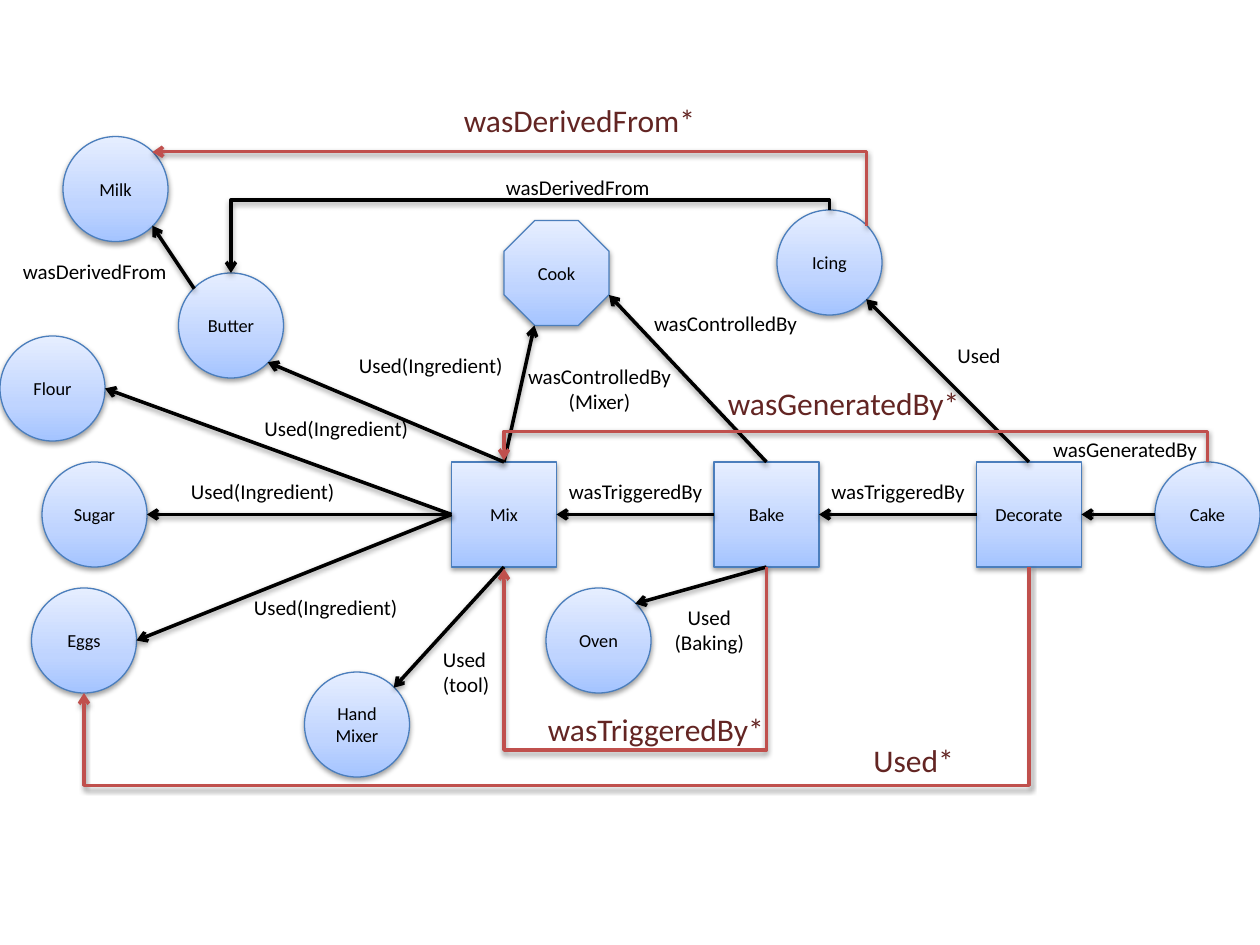
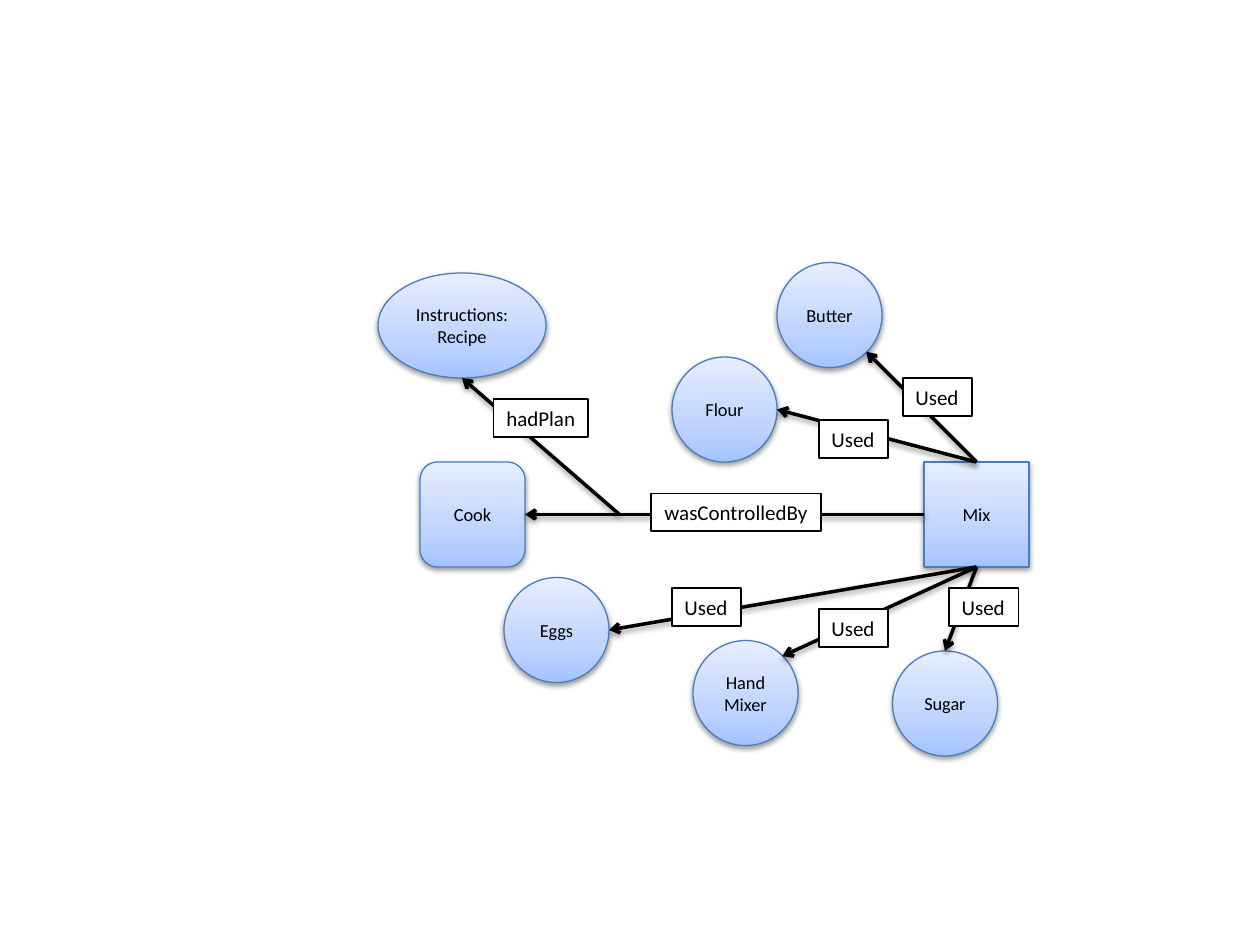
from copy import deepcopy
from lxml import etree
from pptx import Presentation
from pptx.dml.color import RGBColor
from pptx.enum.shapes import MSO_CONNECTOR as LINK, MSO_SHAPE as FORM
from pptx.enum.text import MSO_ANCHOR, MSO_AUTO_SIZE, PP_ALIGN
from pptx.oxml.ns import qn
from pptx.util import Inches, Pt

# Shared style
FONT = "Calibri"
BLACK = RGBColor(0, 0, 0)
WHITE = RGBColor(255, 255, 255)
RED = RGBColor(0xC0, 0x50, 0x4D)
DARK_RED = RGBColor(0x63, 0x25, 0x23)
NODE_LINE = RGBColor(0x4B, 0x7E, 0xBC)
NODE_STOPS = [(0, RGBColor(0xA4, 0xC4, 0xFF)), (0.35, RGBColor(0xBF, 0xD4, 0xFF)),
              (1, RGBColor(0xE6, 0xEE, 0xFF))]
NODE_SIZE = 10  # grid units

# Places where an arrow may touch a node, as fractions of its box
SITES = {
    "top": (0.5, 0), "bottom": (0.5, 1), "left": (0, 0.5), "right": (1, 0.5),
    "top left": (0.15, 0.15), "top right": (0.85, 0.15),
    "bottom left": (0.15, 0.85), "bottom right": (0.85, 0.85),
    "lower right corner": (1, 0.71), "lower left corner": (0.29, 1),
}

# Label widths in inches
LABEL_WIDTHS = {
    "wasTriggeredBy": 1.27, "wasControlledBy": 1.35, "wasControlledBy\n(Mixer)": 1.35,
    "Used(Ingredient)": 1.35, "Used\n(Baking)": 0.76, "wasGeneratedBy": 1.36,
    "wasDerivedFrom": 1.35, "Used": 0.55, "Used\n(tool)": 0.58, "hadPlan": 0.75,
    "wasDerivedFrom*": 2.06, "wasTriggeredBy*": 1.93, "Used*": 0.85, "wasGeneratedBy*": 2.06,
}
CENTERED = {"wasControlledBy", "wasControlledBy\n(Mixer)", "Used\n(Baking)",
            "wasGeneratedBy", "wasGeneratedBy*", "hadPlan"}

# Content: all positions are in grid units of a twelfth of an inch
# nodes: name -> left, top, form, (width)
# arrows: from, site, to, site
# bends: from, site, to, site, height of the crossing lane, colour, end offset
# labels: left, top, text
CAKE_HISTORY = {
    "nodes": {
        "Cake": (110, 44, FORM.OVAL), "Bake": (68, 44, FORM.RECTANGLE),
        "Cook": (48, 21, FORM.OCTAGON), "Mix": (43, 44, FORM.RECTANGLE),
        "Milk": (6, 13, FORM.OVAL), "Eggs": (3, 56, FORM.OVAL),
        "Flour": (0, 32, FORM.OVAL), "Butter": (17, 26, FORM.OVAL),
        "Oven": (52, 56, FORM.OVAL), "Sugar": (4, 44, FORM.OVAL),
        "Icing": (74, 20, FORM.OVAL), "Decorate": (93, 44, FORM.RECTANGLE),
        "Hand Mixer": (29, 64, FORM.OVAL),
    },
    "arrows": [
        ("Cake", "left", "Decorate", "right"), ("Bake", "left", "Mix", "right"),
        ("Bake", "top", "Cook", "lower right corner"),
        ("Mix", "top", "Cook", "lower left corner"),
        ("Bake", "bottom", "Oven", "top right"), ("Mix", "left", "Eggs", "right"),
        ("Mix", "left", "Sugar", "right"), ("Mix", "top", "Butter", "bottom right"),
        ("Mix", "left", "Flour", "right"), ("Butter", "top left", "Milk", "bottom right"),
        ("Decorate", "left", "Bake", "right"), ("Decorate", "top", "Icing", "bottom right"),
        ("Mix", "bottom", "Hand Mixer", "top right"),
    ],
    "bends": [
        ("Icing", "top", "Butter", "top", 19.04, BLACK, 0),
        ("Icing", "top right", "Milk", "top right", 14.45, RED, 0),
        ("Bake", "bottom", "Mix", "bottom", 71.3, RED, 0.15),
        ("Decorate", "bottom", "Eggs", "bottom", 74.8, RED, 0),
        ("Cake", "top", "Mix", "top", 41.1, RED, -0.15),
    ],
    "labels": [
        (53, 45, "wasTriggeredBy"), (78, 45, "wasTriggeredBy"),
        (61, 29, "wasControlledBy"), (49, 34, "wasControlledBy\n(Mixer)"),
        (33, 33, "Used(Ingredient)"), (24, 39, "Used(Ingredient)"),
        (17, 45, "Used(Ingredient)"), (23, 56, "Used(Ingredient)"),
        (63, 57, "Used\n(Baking)"), (41, 61, "Used\n(tool)"), (90, 32, "Used"),
        (99, 41, "wasGeneratedBy"), (1, 24, "wasDerivedFrom"), (47, 16, "wasDerivedFrom"),
        (43, 9, "wasDerivedFrom*"), (51, 67, "wasTriggeredBy*"),
        (82, 70, "Used*"), (68, 36, "wasGeneratedBy*"),
    ],
    "boxed": False,
}
MIX_PLAN = {
    "nodes": {
        "Cook": (40, 44, FORM.ROUNDED_RECTANGLE), "Mix": (88, 44, FORM.RECTANGLE),
        "Eggs": (48, 55, FORM.OVAL), "Flour": (64, 34, FORM.OVAL),
        "Butter": (74, 25, FORM.OVAL), "Sugar": (85, 62, FORM.OVAL),
        "Hand Mixer": (66, 61, FORM.OVAL), "Instructions: Recipe": (36, 26, FORM.OVAL, 16),
    },
    "arrows": [
        ("Mix", "left", "Cook", "right"), ("Mix", "bottom", "Eggs", "right"),
        ("Mix", "bottom", "Sugar", "top"), ("Mix", "top", "Butter", "bottom right"),
        ("Mix", "top", "Flour", "right"), ("Mix", "bottom", "Hand Mixer", "top right"),
        ((59, 49), None, "Instructions: Recipe", "bottom"),
    ],
    "bends": [],
    "labels": [
        (62, 47, "wasControlledBy"), (86, 36, "Used"), (64, 56, "Used"), (78, 40, "Used"),
        (90.4, 56, "Used"), (78, 58, "Used"), (47, 38, "hadPlan"),
    ],
    "boxed": True,
}


def grid(units):
    return Inches(units / 12)


def add_shadow(shape):
    properties = shape._element.spPr
    effects = properties.find(qn("a:effectLst"))
    if effects is None:
        effects = etree.SubElement(properties, qn("a:effectLst"))
    shadow = etree.SubElement(effects, qn("a:outerShdw"), blurRad="40000", dist="20000",
                              dir="5400000", rotWithShape="0")
    color = etree.SubElement(shadow, qn("a:srgbClr"), val="000000")
    etree.SubElement(color, qn("a:alpha"), val="38000")


def write(shape, text, size, color, align):
    shape.text_frame.text = text
    for paragraph in shape.text_frame.paragraphs:
        paragraph.alignment = align
        font = paragraph.font
        font.name, font.size, font.color.rgb = FONT, Pt(size), color


def add_node(slide, name, left, top, form, width=NODE_SIZE):
    shape = slide.shapes.add_shape(form, grid(left), grid(top), grid(width), grid(NODE_SIZE))
    shape.fill.gradient()
    shape.fill.gradient_angle = 90
    stops = shape._element.spPr.find(".//" + qn("a:gsLst"))
    stops.append(deepcopy(stops[0]))
    for stop, (position, color) in zip(shape.fill.gradient_stops, NODE_STOPS):
        stop.position, stop.color.rgb = position, color
    shape.line.color.rgb, shape.line.width = NODE_LINE, Pt(0.75)
    shape.shadow.inherit = False
    add_shadow(shape)
    shape.text_frame.word_wrap = True
    shape.text_frame.vertical_anchor = MSO_ANCHOR.MIDDLE
    write(shape, name, 10.5, BLACK, PP_ALIGN.CENTER)


def site_point(nodes, node, site):
    if isinstance(node, tuple):  # a free point, not a node
        return node
    left, top, _, *width = nodes[node]
    across, down = SITES[site]
    return left + across * (width[0] if width else NODE_SIZE), top + down * NODE_SIZE


def add_arrow(slide, kind, start, end, color):
    arrow = slide.shapes.add_connector(kind, *map(grid, start + end))
    arrow.line.color.rgb, arrow.line.width = color, Pt(2)
    outline = arrow._element.spPr.find(qn("a:ln"))
    etree.SubElement(outline, qn("a:tailEnd"), type="arrow")
    add_shadow(arrow)
    return arrow


def add_bend(slide, start, end, lane, color):
    """Leave a node vertically, cross leftwards at the lane, enter vertically."""
    arrow = add_arrow(slide, LINK.ELBOW, start, end, color)
    (x1, y1), (x2, y2) = start, end
    width, height = abs(y2 - y1), abs(x2 - x1)  # the box before its quarter turn
    arrow.left, arrow.top = grid((x1 + x2 - width) / 2), grid((y1 + y2 - height) / 2)
    arrow.width, arrow.height = grid(width), grid(height)
    frame = arrow._element.spPr.find(qn("a:xfrm"))
    for flip in ("flipH", "flipV"):
        frame.attrib.pop(flip, None)
    if lane < y1:
        frame.set("rot", "16200000")
        frame.set("flipV", "1")
        if y2 > y1:
            frame.set("flipH", "1")
    else:
        frame.set("rot", "5400000")
    geometry = arrow._element.spPr.find(qn("a:prstGeom"))
    guides = geometry.find(qn("a:avLst"))
    if guides is None:
        guides = etree.SubElement(geometry, qn("a:avLst"))
    share = round((lane - y1) / (y2 - y1) * 100000)
    etree.SubElement(guides, qn("a:gd"), name="adj1", fmla=f"val {share}")


def add_label(slide, left, top, text, boxed):
    inferred = text.endswith("*")
    height = 0.4 if inferred else 0.5 if "\n" in text else 0.3
    label = slide.shapes.add_textbox(grid(left), grid(top), Inches(LABEL_WIDTHS[text]),
                                     Inches(height))
    label.text_frame.word_wrap = False
    label.text_frame.auto_size = MSO_AUTO_SIZE.SHAPE_TO_FIT_TEXT
    if boxed:
        label.fill.solid()
        label.fill.fore_color.rgb = WHITE
        label.line.color.rgb, label.line.width = BLACK, Pt(1)
    write(label, text, 18 if inferred else 12, DARK_RED if inferred else BLACK,
          PP_ALIGN.CENTER if text in CENTERED else PP_ALIGN.LEFT)


presentation = Presentation()
presentation.slide_width, presentation.slide_height = Inches(10), Inches(7.5)

for graph in (CAKE_HISTORY, MIX_PLAN):
    slide = presentation.slides.add_slide(presentation.slide_layouts[6])
    nodes = graph["nodes"]
    for name, place in nodes.items():
        add_node(slide, name, *place)
    for source, leave, target, enter in graph["arrows"]:
        add_arrow(slide, LINK.STRAIGHT, site_point(nodes, source, leave),
                  site_point(nodes, target, enter), BLACK)
    for source, leave, target, enter, lane, color, offset in graph["bends"]:
        x, y = site_point(nodes, target, enter)
        add_bend(slide, site_point(nodes, source, leave), (x, y + offset), lane, color)
    for label in graph["labels"]:
        add_label(slide, *label, graph["boxed"])

presentation.save("out.pptx")
